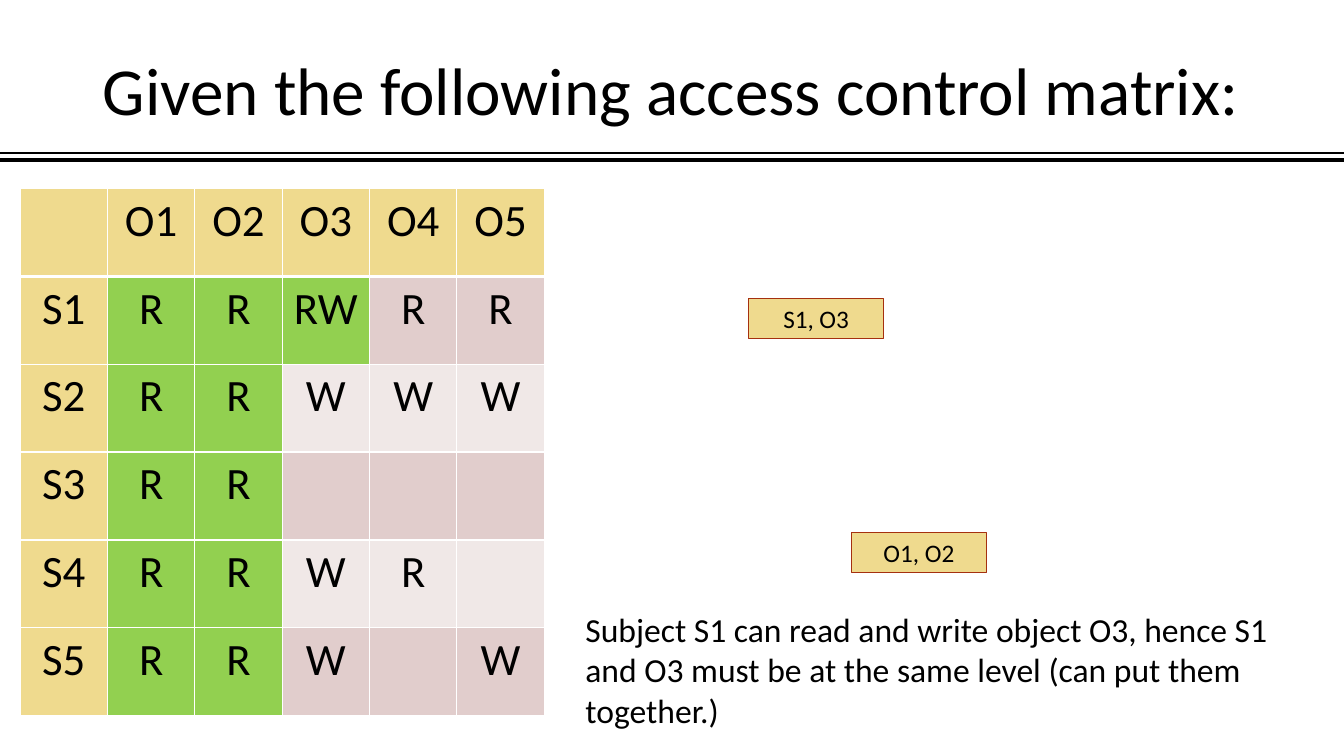
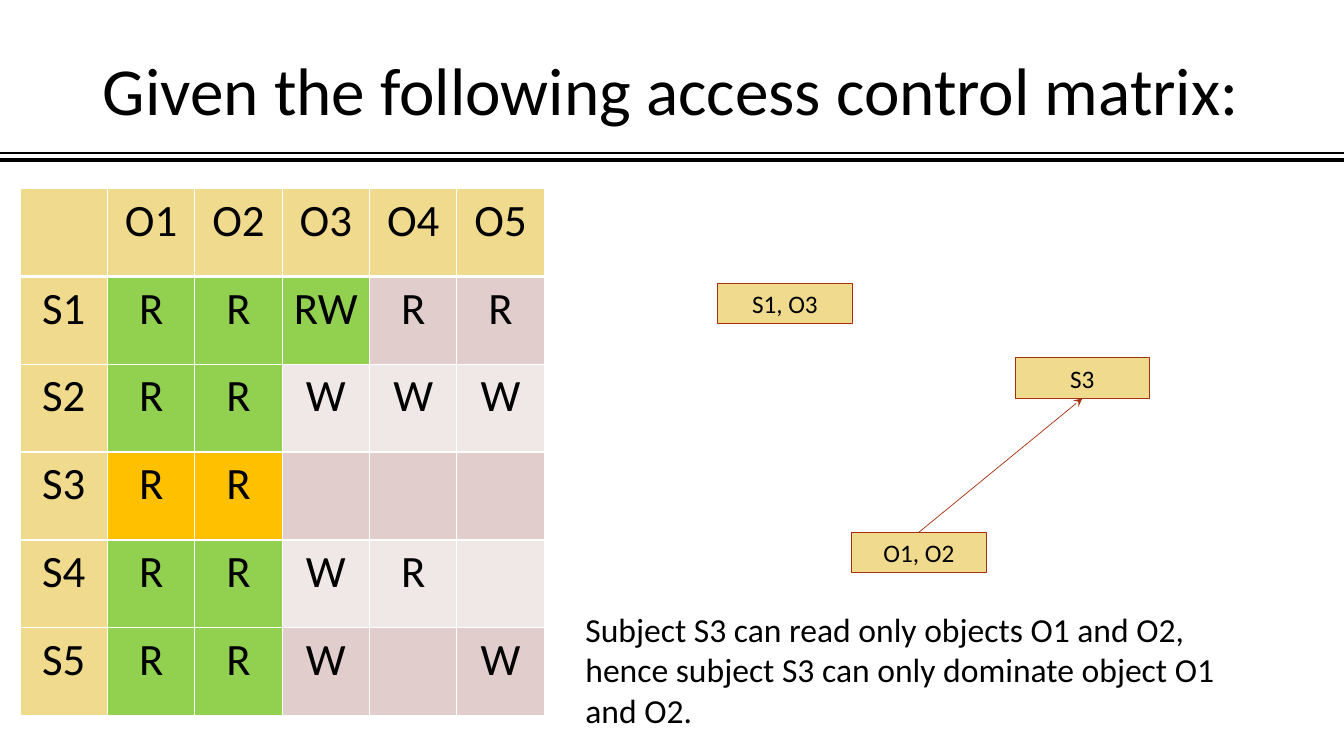
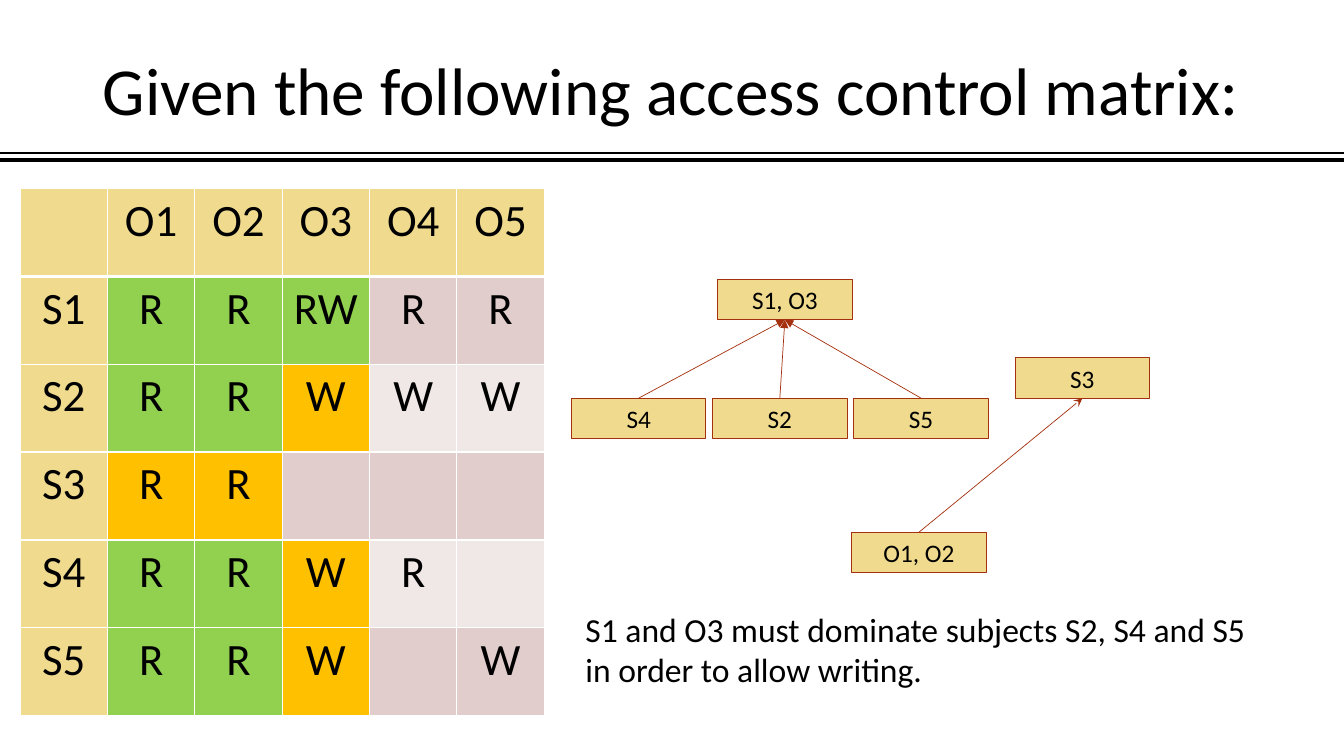
from dataclasses import dataclass

from lxml import etree
from pptx import Presentation
from pptx.dml.color import RGBColor
from pptx.enum import shapes, text
from pptx.oxml import ns
from pptx.util import Pt

# Shared style
FONT = "Calibri"
BLACK, WHITE = "000000", "FFFFFF"
SAND, RUST = "EFDA8E", "A5300F"
GREEN, AMBER = "92D050", "FFC000"
BANDS = ("F0E8E7", "E1CDCC")
WIDTH, HEIGHT = 960, 540
TITLE = "Given the following access control matrix:"
HEADER_RULES = ((114.48, 3), (109.44, 1))  # height on the slide, line width

# Access control matrix
MATRIX = (
    ("", "O1", "O2", "O3", "O4", "O5"),
    ("S1", "R", "R", "RW", "R", "R"),
    ("S2", "R", "R", "W", "W", "W"),
    ("S3", "R", "R", "", "", ""),
    ("S4", "R", "R", "W", "R", ""),
    ("S5", "R", "R", "W", "", "W"),
)
COLUMN_WIDTH, ROW_HEIGHT = 62.4, 62.76
BOX_WIDTH, BOX_HEIGHT = 96, 29


@dataclass(frozen=True)
class Box:
    label: str
    left: float
    top: float


@dataclass(frozen=True)
class Arrow:
    lower: str
    upper: str
    head: str


@dataclass(frozen=True)
class Step:
    explanation: str
    explanation_height: float
    highlighted: frozenset
    boxes: tuple
    arrows: tuple = ()


# Content of the three steps
READ_ONLY_OBJECTS = Box("O1, O2", 608.4, 380.16)
READER = Box("S3", 725.04, 255.6)
READER_ARROW = Arrow("O1, O2", "S3", "stealth")
READER_CELLS = frozenset({(3, 1), (3, 2)})
WRITER_CELLS = frozenset({(2, 3), (4, 3), (5, 3)})
WRITERS = ("S4", "S2", "S5")
WRITER_BOXES = tuple(
    Box(label, 408.24 + 100.8 * index, 284.4) for index, label in enumerate(WRITERS)
)

STEPS = (
    Step(
        "Subject S1 can read and write object O3, hence S1 and O3 must be "
        "at the same level (can put them together.)",
        94.32,
        frozenset(),
        (READ_ONLY_OBJECTS, Box("S1, O3", 534.96, 213.12)),
    ),
    Step(
        "Subject S3 can read only objects O1 and O2, hence subject S3 can "
        "only dominate object O1 and O2.",
        94.32,
        READER_CELLS,
        (READ_ONLY_OBJECTS, Box("S1, O3", 512.64, 202.32), READER),
        (READER_ARROW,),
    ),
    Step(
        "S1 and O3 must dominate subjects S2, S4 and S5 in order to allow writing.",
        65.52,
        READER_CELLS | WRITER_CELLS,
        (READ_ONLY_OBJECTS, Box("S1, O3", 512.64, 199.44), READER) + WRITER_BOXES,
        (READER_ARROW,) + tuple(Arrow(label, "S1, O3", "triangle") for label in WRITERS),
    ),
)


# Formatting helpers
def color(value: str) -> RGBColor:
    return RGBColor.from_string(value)


def write(text_frame, content: str, size: float, alignment=text.PP_ALIGN.LEFT) -> None:
    text_frame.text = content
    for paragraph in text_frame.paragraphs:
        paragraph.alignment = alignment
        for run in paragraph.runs:
            run.font.size = Pt(size)
            run.font.name = FONT
            run.font.color.rgb = color(BLACK)


def style_line(connector, line_color: str, width: float) -> None:
    connector.line.color.rgb = color(line_color)
    connector.line.width = Pt(width)
    etree.SubElement(connector.element.spPr, ns.qn("a:effectLst"))


def set_borders(cell, top: float, bottom: float) -> None:
    properties = cell._tc.get_or_add_tcPr()
    widths = {"a:lnL": 1, "a:lnR": 1, "a:lnT": top, "a:lnB": bottom}
    for position, (tag, width) in enumerate(widths.items()):
        border = etree.Element(ns.qn(tag), w=str(Pt(width)))
        fill = etree.SubElement(border, ns.qn("a:solidFill"))
        etree.SubElement(fill, ns.qn("a:srgbClr"), val=WHITE)
        properties.insert(position, border)


# Slide parts
def add_header_rules(slide, layout) -> None:
    """Draw the rules below the title and move them to the layout."""
    for top, width in HEADER_RULES:
        rule = slide.shapes.add_connector(
            shapes.MSO_CONNECTOR.STRAIGHT, Pt(0), Pt(top), Pt(WIDTH), Pt(top)
        )
        style_line(rule, BLACK, width)
        layout.shapes.element.append(rule.element)


def set_title(slide) -> None:
    title = slide.shapes.title
    title.left, title.top, title.width, title.height = Pt(66.24), Pt(28.8), Pt(828), Pt(75.6)
    write(title.text_frame, TITLE, 48)
    title.text_frame.auto_size = text.MSO_AUTO_SIZE.NONE
    title.text_frame.vertical_anchor = text.MSO_ANCHOR.MIDDLE
    title.text_frame.paragraphs[0].line_spacing = 0.9


def cell_color(row: int, column: int, highlighted: frozenset) -> str:
    if row == 0 or column == 0:
        return SAND
    if (row, column) in highlighted:
        return AMBER
    if column <= 2 or MATRIX[row][column] == "RW":
        return GREEN
    return BANDS[row % 2]


def add_matrix(slide, highlighted: frozenset) -> None:
    size = len(MATRIX)
    table = slide.shapes.add_table(
        size, size, Pt(14.4), Pt(134.64), Pt(COLUMN_WIDTH * size), Pt(ROW_HEIGHT * size)
    ).table
    table.horz_banding = table.first_row = False
    for column in table.columns:
        column.width = Pt(COLUMN_WIDTH)
    for row_index, values in enumerate(MATRIX):
        table.rows[row_index].height = Pt(ROW_HEIGHT)
        for column_index, value in enumerate(values):
            cell = table.cell(row_index, column_index)
            write(cell.text_frame, value, 32, text.PP_ALIGN.CENTER)
            cell.fill.solid()
            cell.fill.fore_color.rgb = color(cell_color(row_index, column_index, highlighted))
            set_borders(cell, 3 if row_index == 1 else 1, 3 if row_index == 0 else 1)


def add_explanation(slide, content: str, height: float) -> None:
    explanation = slide.shapes.add_textbox(Pt(411.12), Pt(431.28), Pt(504), Pt(height))
    explanation.text_frame.word_wrap = True
    explanation.text_frame.auto_size = text.MSO_AUTO_SIZE.SHAPE_TO_FIT_TEXT
    write(explanation.text_frame, content, 24)


def add_box(slide, box: Box):
    shape = slide.shapes.add_shape(
        shapes.MSO_SHAPE.RECTANGLE, Pt(box.left), Pt(box.top), Pt(BOX_WIDTH), Pt(BOX_HEIGHT)
    )
    shape.shadow.inherit = False
    shape.fill.solid()
    shape.fill.fore_color.rgb = color(SAND)
    shape.line.color.rgb = color(RUST)
    shape.line.width = Pt(0.75)
    shape.text_frame.word_wrap = True
    shape.text_frame.auto_size = text.MSO_AUTO_SIZE.SHAPE_TO_FIT_TEXT
    shape.text_frame.vertical_anchor = text.MSO_ANCHOR.TOP
    write(shape.text_frame, box.label, 18, text.PP_ALIGN.CENTER)
    return shape


def add_arrow(slide, lower, upper, head: str) -> None:
    """Join the top of the lower box to the bottom of the upper one."""
    connector = slide.shapes.add_connector(shapes.MSO_CONNECTOR.STRAIGHT, 0, 0, 0, 0)
    connector.begin_connect(lower, 0)
    connector.end_connect(upper, 2)
    style_line(connector, RUST, 0.5)
    etree.SubElement(connector.line._get_or_add_ln(), ns.qn("a:tailEnd"), type=head)


# Build the slides
presentation = Presentation()
presentation.slide_width, presentation.slide_height = Pt(WIDTH), Pt(HEIGHT)
title_only = presentation.slide_layouts[5]

for number, step in enumerate(STEPS):
    slide = presentation.slides.add_slide(title_only)
    if number == 0:
        add_header_rules(slide, title_only)
    set_title(slide)
    add_matrix(slide, step.highlighted)
    add_explanation(slide, step.explanation, step.explanation_height)
    drawn = {box.label: add_box(slide, box) for box in step.boxes}
    for arrow in step.arrows:
        add_arrow(slide, drawn[arrow.lower], drawn[arrow.upper], arrow.head)

presentation.save("out.pptx")
